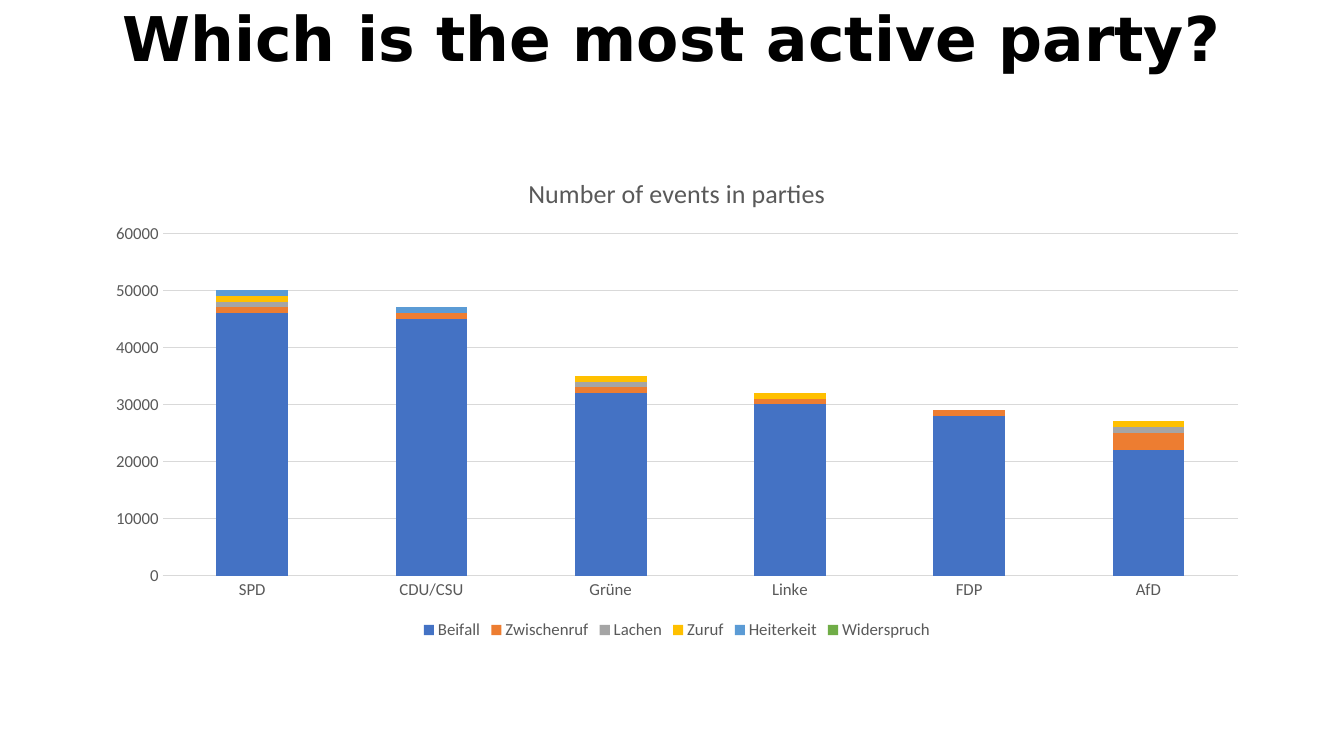
from dataclasses import dataclass

from lxml import etree
from pptx import Presentation
from pptx import util as u
from pptx.chart.data import CategoryChartData
from pptx.dml.color import RGBColor
from pptx.enum import chart as ch, text
from pptx.oxml import ns


@dataclass(frozen=True)
class Theme:
    heading_font: str = "DejaVu Sans"
    chart_font: str = "Calibri"
    heading_size: float = 44
    chart_title_size: float = 18.6
    label_size: float = 12
    line_width: float = 0.75
    black: str = "000000"
    grey: str = "595959"
    grid: str = "D9D9D9"
    series: tuple = ("4472C4", "ED7D31", "A5A5A5", "FFC000", "5B9BD5", "70AD47")


class Deck:
    def __init__(self, theme, width, height):
        self.theme = theme
        self.prs = Presentation()
        self.prs.slide_width, self.prs.slide_height = u.Cm(width), u.Cm(height)
        self.s = self.prs.slides.add_slide(self.prs.slide_layouts[6])

    def style_font(self, font, name, size, color, bold=False):
        font.name, font.size, font.bold = name, u.Pt(size), bold
        font.color.rgb = RGBColor.from_string(color)

    def style_line(self, line):
        line.color.rgb = RGBColor.from_string(self.theme.grid)
        line.width = u.Pt(self.theme.line_width)

    def heading(self, words, *box):
        t = self.theme
        tf = self.s.shapes.add_textbox(*map(u.Cm, box)).text_frame
        tf.word_wrap = True
        tf.vertical_anchor = text.MSO_ANCHOR.MIDDLE
        p = tf.paragraphs[0]
        p.text = words
        p.alignment = text.PP_ALIGN.CENTER
        p.line_spacing = 0.9
        self.style_font(p.font, t.heading_font, t.heading_size, t.black, True)

    def place_plot(self, chart, x, y, w, h):
        area = chart._chartSpace.chart.plotArea
        for old in area.findall(ns.qn("c:layout")):
            area.remove(old)
        layout = etree.Element(ns.qn("c:layout"))
        area.insert(0, layout)
        manual = etree.SubElement(layout, ns.qn("c:manualLayout"))
        for tag, val in (("layoutTarget", "inner"), ("xMode", "edge"), ("yMode", "edge"),
                         ("x", x), ("y", y), ("w", w), ("h", h)):
            etree.SubElement(manual, ns.qn(f"c:{tag}")).set("val", str(val))

    def stacked_columns(self, title, categories, series, *box):
        t = self.theme
        data = CategoryChartData()
        data.categories = categories
        for name, values in series.items():
            data.add_series(name, values)
        chart = self.s.shapes.add_chart(
            ch.XL_CHART_TYPE.COLUMN_STACKED, *map(u.Cm, box), data).chart
        self.style_font(chart.font, t.chart_font, t.label_size, t.grey)

        r = chart.chart_title.text_frame.paragraphs[0].add_run()
        r.text = title
        self.style_font(r.font, t.chart_font, t.chart_title_size, t.grey)
        chart.chart_title.include_in_layout = False

        chart.has_legend = True
        chart.legend.position = ch.XL_LEGEND_POSITION.BOTTOM
        chart.legend.include_in_layout = False
        self.style_font(chart.legend.font, t.chart_font, t.label_size, t.grey)

        for axis in (chart.category_axis, chart.value_axis):
            axis.major_tick_mark = axis.minor_tick_mark = ch.XL_TICK_MARK.NONE
            self.style_font(axis.tick_labels.font, t.chart_font, t.label_size, t.grey)
        self.style_line(chart.category_axis.format.line)
        chart.value_axis.format.line.fill.background()
        self.style_line(chart.value_axis.major_gridlines.format.line)
        chart.value_axis.minimum_scale = 0
        chart.value_axis.maximum_scale = 60000
        chart.value_axis.major_unit = 10000

        plot = chart.plots[0]
        plot.gap_width, plot.overlap = 150, 100
        plot.vary_by_categories = False
        for ser, color in zip(plot.series, t.series):
            ser.format.fill.solid()
            ser.format.fill.fore_color.rgb = RGBColor.from_string(color)
        self.place_plot(chart, 0.06, 0.16, 0.92, 0.7)


def main():
    deck = Deck(Theme(), 33.87, 19.05)
    deck.heading("Which is the most active party?", 0, 0.05, 33.87, 2)
    deck.stacked_columns(
        "Number of events in parties",
        ("SPD", "CDU/CSU", "Grüne", "Linke", "FDP", "AfD"),
        {
            "Beifall": (46000, 45000, 32000, 30000, 28000, 22000),
            "Zwischenruf": (1000, 1000, 1000, 1000, 1000, 3000),
            "Lachen": (1000, 0, 1000, 0, 0, 1000),
            "Zuruf": (1000, 0, 1000, 1000, 0, 1000),
            "Heiterkeit": (1000, 1000, 0, 0, 0, 0),
            "Widerspruch": (0, 0, 0, 0, 0, 0),
        },
        2.33, 3.91, 29.46, 12.32)
    deck.prs.save("out.pptx")


if __name__ == "__main__":
    main()
